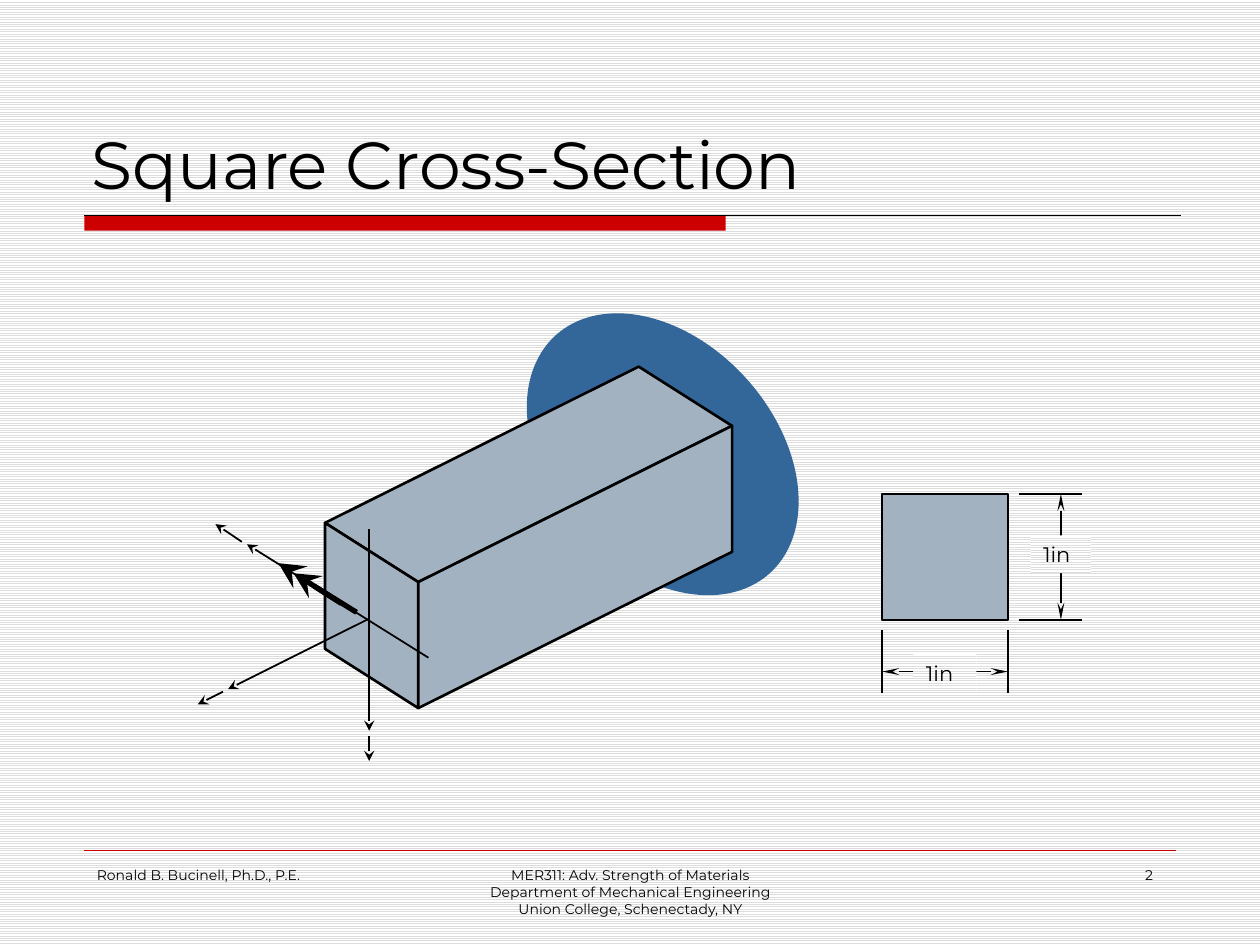
from dataclasses import dataclass

from pptx import Presentation
from pptx.dml.color import RGBColor as Color
from pptx.enum.dml import MSO_PATTERN as Pattern
from pptx.enum.shapes import MSO_CONNECTOR as Connector, MSO_SHAPE as Shape
from pptx.enum.text import MSO_ANCHOR as Anchor, MSO_AUTO_SIZE as AutoSize, PP_ALIGN as Align
from pptx.oxml.ns import qn
from pptx.util import Inches, Pt
from lxml.etree import SubElement

COLUMNS, ROWS = 100, 75


@dataclass(frozen=True)
class Theme:
    face: str = "Montserrat"
    ink: str = "000000"
    accent: str = "CC0000"
    wall: str = "336699"
    steel: str = "A3B2C1"
    stripe: str = "DDDDDD"
    paper: str = "FFFFFF"
    title: int = 38
    label: int = 12
    footer: int = 8
    hairline: float = 0.25
    rule: float = 0.75
    thin: float = 1
    edge: float = 1.5
    heavy: float = 3


def assign(target, values):
    for name, value in values.items():
        setattr(target, name, value)


def shift(point, *vectors):
    return tuple(map(sum, zip(point, *vectors)))


class SlideBuilder:
    def __init__(self, deck, theme):
        self.theme = theme
        self.cell_width = deck.slide_width / COLUMNS
        self.cell_height = deck.slide_height / ROWS
        self.slide = deck.slides.add_slide(deck.slide_layouts[5])
        self.shapes = self.slide.shapes
        self.stripes(self.slide.background.fill)

    def grid(self, *values):
        units = (self.cell_width, self.cell_height)
        return [round(value * units[index % 2]) for index, value in enumerate(values)]

    def stripes(self, fill):
        fill.patterned()
        fill.pattern = Pattern.LIGHT_HORIZONTAL
        fill.fore_color.rgb = Color.from_string(self.theme.stripe)
        fill.back_color.rgb = Color.from_string(self.theme.paper)

    def stroke(self, line, color, width):
        line.fill.solid()
        assign(line, {"width": Pt(width)})
        line.color.rgb = Color.from_string(color)

    def paint(self, shape, fill, outlined=False):
        shape.shadow.inherit = False
        shape.fill.solid()
        shape.fill.fore_color.rgb = Color.from_string(fill)
        if outlined:
            self.stroke(shape.line, self.theme.ink, self.theme.edge)
        else:
            shape.line.fill.background()

    def set_text(self, frame, lines, size, align=Align.LEFT, **layout):
        assign(frame, {"word_wrap": True, "auto_size": AutoSize.NONE, **layout})
        frame.text = "\n".join(lines)
        for para in frame.paragraphs:
            para.alignment = align
            assign(para.font, {"name": self.theme.face, "size": Pt(size)})
            para.font.color.rgb = Color.from_string(self.theme.ink)

    def title(self, text, *place):
        box = self.shapes.title
        assign(box, dict(zip(("left", "top", "width", "height"), self.grid(*place))))
        self.set_text(box.text_frame, [text], self.theme.title, vertical_anchor=Anchor.BOTTOM)

    def footer(self, lines, left, width, align):
        box = self.shapes.add_textbox(*self.grid(left, 68.3, width, 5))
        self.set_text(box.text_frame, lines, self.theme.footer, align)

    def shape(self, kind, place, fill, outlined=False, rotation=0):
        shape = self.shapes.add_shape(kind, *self.grid(*place))
        shape.rotation = rotation
        self.paint(shape, fill, outlined)

    def label(self, text, *place):
        box = self.shapes.add_textbox(*self.grid(*place))
        self.stripes(box.fill)
        self.set_text(box.text_frame, [text], self.theme.label,
                      auto_size=AutoSize.SHAPE_TO_FIT_TEXT)

    def face(self, *corners):
        points = [self.grid(*corner) for corner in corners]
        builder = self.shapes.build_freeform(*points[0], scale=1.0)
        builder.add_line_segments(points[1:], close=True)
        self.paint(builder.convert_to_shape(), self.theme.steel, True)

    def line(self, start, end, width=None, color=None, ends=(), head=("med", "med")):
        connector = self.shapes.add_connector(Connector.STRAIGHT, *self.grid(*start, *end))
        self.stroke(connector.line, color or self.theme.ink, width or self.theme.thin)
        properties = connector._element.spPr
        outline = properties.find(qn("a:ln"))
        for end_name in ends:
            SubElement(outline, qn(f"a:{end_name}"), type="stealth", w=head[0], len=head[1])
        SubElement(properties, qn("a:effectLst"))


def draw_frame(page, theme):
    page.title("Square Cross-Section", 6.3, 3.3, 87.5, 13.3)
    page.shape(Shape.RECTANGLE, (6.7, 17.1, 50.9, 1.2), theme.accent)
    page.line((6.7, 17.1), (93.7, 17.1), theme.rule)
    page.line((6.7, 67.5), (93.3, 67.5), theme.hairline, theme.accent)
    page.footer(["Ronald B. Bucinell, Ph.D., P.E."], 6.7, 20.8, Align.LEFT)
    page.footer(["MER311: Adv. Strength of Materials",
                 "Department of Mechanical Engineering",
                 "Union College, Schenectady, NY"], 34.2, 31.7, Align.CENTER)
    page.footer(["2"], 71.7, 20.8, Align.RIGHT)


def draw_beam(page, theme):
    page.shape(Shape.OVAL, (39.9, 27.1, 25.4, 17.9), theme.wall, rotation=48.1)
    corner, across, along, down = (33.2, 46.2), (-7.4, -4.7), (24.9, -12.4), (0, 10)
    for first, second in ((across, along), (across, down), (along, down)):
        page.face(corner, shift(corner, first), shift(corner, first, second),
                  shift(corner, second))


def draw_section(page, theme):
    left, top, side = 70, 39.2, 10
    right, bottom = left + side, top + side
    page.shape(Shape.RECTANGLE, (left, top, side, side), theme.steel, True)
    for row in (top, bottom):
        page.line((right + 0.9, row), (right + 5.9, row))
    for column in (left, right):
        page.line((column, bottom + 0.8), (column, bottom + 5.8))
    for start, end in (((84.2, top), (84.2, bottom)), ((left, 53.3), (right, 53.3))):
        page.line(start, end, ends=("headEnd", "tailEnd"), head=("sm", "lg"))
    page.label("1in", 81.8, 42.5, 4.8, 3)
    page.label("1in", 72.5, 51.9, 5, 3)


def draw_axes(page, theme):
    axes = (
        ((29.3, 42), (29.3, 58)),
        ((34, 52.2), (19.6, 43.2)),
        ((29.3, 49.1), (18.1, 54.7)),
        ((17.7, 54.9), (15.7, 55.9)),
        ((29.3, 58.4), (29.3, 60.4)),
        ((19.2, 43), (17.1, 41.6)),
    )
    for start, end in axes:
        page.line(start, end, ends=("tailEnd",))
    for start, end in (((27.1, 47.9), (22.1, 44.7)), ((28.3, 48.6), (23.3, 45.5))):
        page.line(start, end, theme.heavy, ends=("tailEnd",), head=("lg", "lg"))


def main():
    deck = Presentation()
    assign(deck, {"slide_width": Inches(10), "slide_height": Inches(7.5)})
    theme = Theme()
    page = SlideBuilder(deck, theme)
    for draw in (draw_frame, draw_beam, draw_section, draw_axes):
        draw(page, theme)
    deck.save("out.pptx")


if __name__ == "__main__":
    main()
